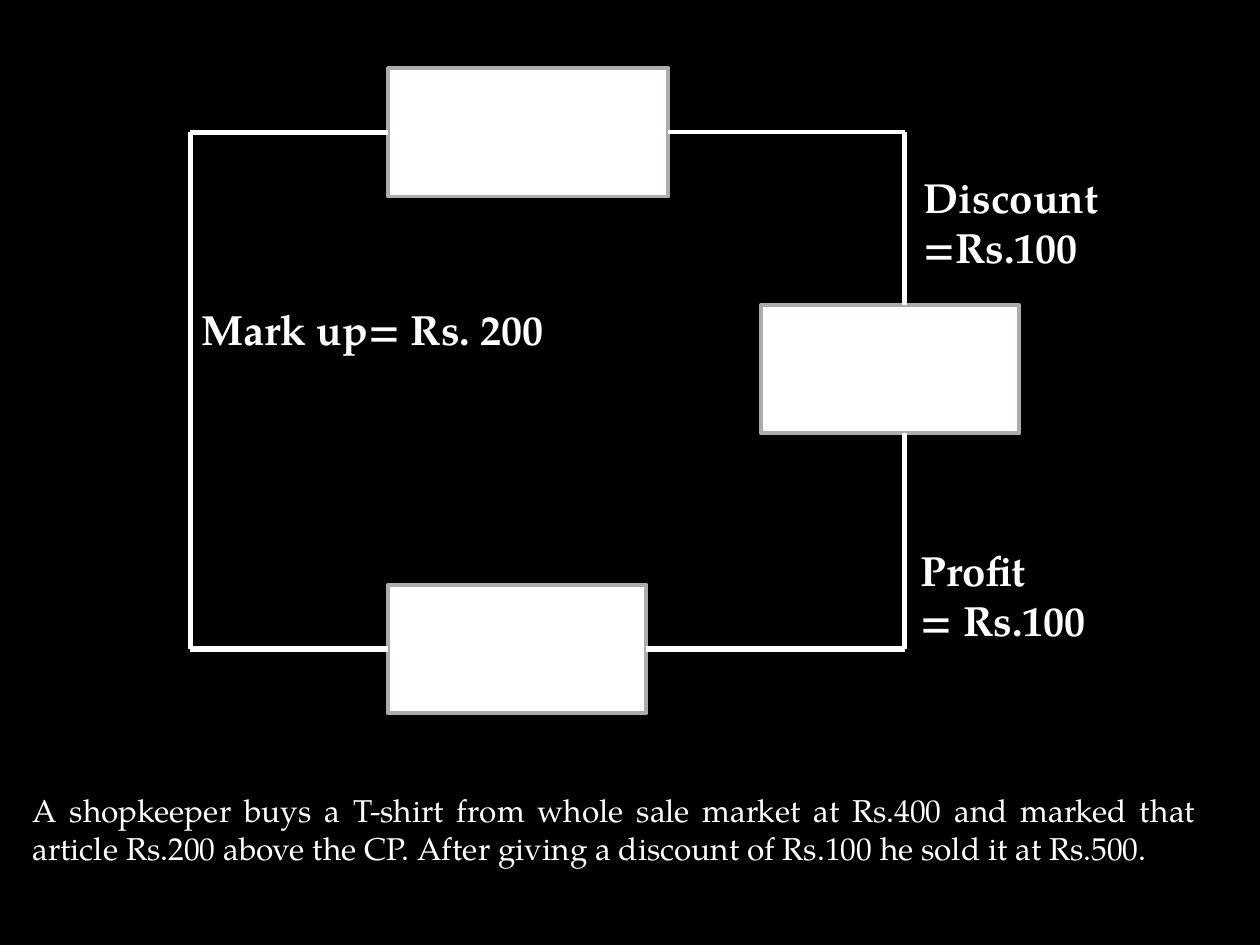
"""Build a flow slide linking cost, marked and selling price boxes."""
from lxml.etree import SubElement
from pptx import Presentation
from pptx.dml.color import RGBColor
from pptx.enum.shapes import MSO_CONNECTOR as Connector, MSO_SHAPE as Shape
from pptx.enum.text import MSO_AUTO_SIZE as AutoSize, PP_ALIGN as Align
from pptx.oxml.ns import qn
from pptx.util import Pt

FONT = "TeX Gyre Pagella"
WHITE, BLACK, GREY = "FFFFFF", "000000", "AFABAB"
BOX_HEIGHT = 73.5
BOXES = {
    "selling": (434.9, 174.2, 147.6),
    "cost": (221.8, 334.1, 147.6),
    "marked": (221.8, 38.8, 160.2),
}
LEFT, RIGHT = 108.7, 517
TOP, BOTTOM = (BOXES[name][1] + BOX_HEIGHT / 2 for name in ("marked", "cost"))
SELLING_TOP = BOXES["selling"][1]
LEFT_SIDE, RIGHT_SIDE = 1, 3
WIRES = [
    (("cost", LEFT_SIDE), (LEFT, BOTTOM), 3),
    ((LEFT, BOTTOM), (LEFT, TOP), 3),
    ((LEFT, TOP), ("marked", LEFT_SIDE), 3),
    (("marked", RIGHT_SIDE), (RIGHT, TOP), 2.25),
    ((RIGHT, TOP), (RIGHT, SELLING_TOP), 3),
    ((RIGHT, SELLING_TOP + BOX_HEIGHT), (RIGHT, BOTTOM), 3),
    (("cost", RIGHT_SIDE), (RIGHT, BOTTOM), 3),
]
STORY = (
    "A shopkeeper buys a T-shirt from whole sale market at Rs.400 and marked that "
    "article Rs.200 above the CP. After giving a discount of Rs.100 he sold it at Rs.500."
)
TEXTS = [
    (["Mark up= Rs. 200"], (108, 170, 219.6, 36), 24, True, Align.LEFT),
    (["Discount =Rs.100"], (520.6, 94.3, 185.8, 65.5), 24, True, Align.LEFT),
    (["Profit", "= Rs.100"], (519.1, 307.4, 159.8, 65.5), 24, True, Align.LEFT),
    ([STORY], (11.5, 448.6, 679, 51), 18, False, Align.JUSTIFY),
]


def paint(fill, color):
    fill.solid()
    fill.fore_color.rgb = RGBColor.from_string(color)


def add_box(page, left, top, width):
    box = page.shapes.add_shape(Shape.RECTANGLE, Pt(left), Pt(top), Pt(width), Pt(BOX_HEIGHT))
    box.shadow.inherit = False
    paint(box.fill, WHITE)
    paint(box.line.fill, GREY)
    box.line.width = Pt(2.25)
    return box


def add_wire(page, boxes, start, end, weight):
    points = [(0, 0) if point[0] in boxes else point for point in (start, end)]
    wire = page.shapes.add_connector(
        Connector.STRAIGHT, *(Pt(value) for point in points for value in point)
    )
    for point, connect in ((start, wire.begin_connect), (end, wire.end_connect)):
        if point[0] in boxes:
            connect(boxes[point[0]], point[1])
    paint(wire.line.fill, WHITE)
    wire.line.width = Pt(weight)
    SubElement(wire._element.spPr, qn("a:effectLst"))


def add_text(page, lines, place, size, bold, align):
    frame = page.shapes.add_textbox(*map(Pt, place)).text_frame
    frame.word_wrap = True
    frame.auto_size = AutoSize.SHAPE_TO_FIT_TEXT
    for index, line in enumerate(lines):
        para = frame.add_paragraph() if index else frame.paragraphs[0]
        para.alignment = align
        span = para.add_run()
        span.text = line
        span.font.name, span.font.size, span.font.bold = FONT, Pt(size), bold
        paint(span.font.fill, WHITE)


def main():
    deck = Presentation()
    deck.slide_width, deck.slide_height = Pt(720), Pt(540)
    page = deck.slides.add_slide(deck.slide_layouts[6])
    paint(page.background.fill, BLACK)
    boxes = {name: add_box(page, *place) for name, place in BOXES.items()}
    for wire in WIRES:
        add_wire(page, boxes, *wire)
    for text in TEXTS:
        add_text(page, *text)
    deck.save("out.pptx")


if __name__ == "__main__":
    main()
